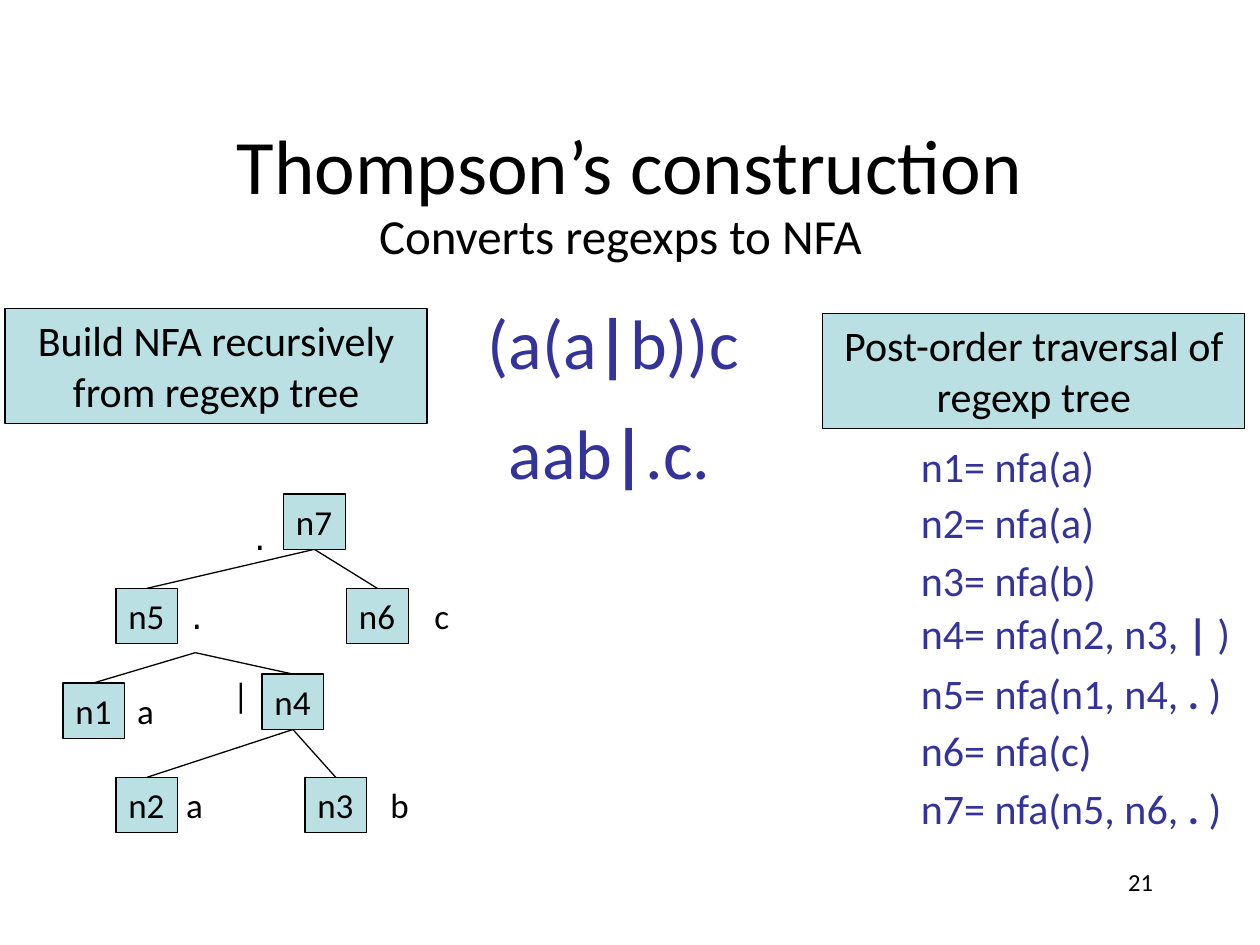
"""Builds the slide on Thompson's construction with its regexp tree."""
import pptx
import pptx.util
import pptx.dml.color
import pptx.enum.shapes
import pptx.enum.text
import pptx.oxml.ns
import lxml.etree

Inches, Pt = pptx.util.Inches, pptx.util.Pt
RGBColor = pptx.dml.color.RGBColor
ALIGN = pptx.enum.text.PP_ALIGN

BLACK = RGBColor(0x00, 0x00, 0x00)
INDIGO = RGBColor(0x33, 0x33, 0x99)
PALE_TEAL = RGBColor(0xBB, 0xE0, 0xE3)
FONT = "Calibri"
OPERATORS = ("|", "| ", ". ")

TITLE = "Thompson’s construction"
SUBTITLE = "Converts regexps to NFA"
PAGE_NUMBER = "21"
CALLOUTS = [
    ("Build NFA recursively from regexp tree", 0.04, 2.45),
    ("Post-order traversal of regexp tree", 6.53, 2.49),
]
EXPRESSIONS = [
    (["(a(a", "|", "b))c"], (3.77, 2.33, 2.25, 0.77)),
    (["aab", "|", ".c."], (3.94, 3.2, 1.83, 0.77)),
]
STEPS = [
    (["n1= nfa(a)"], 3.45),
    (["n2= nfa(a)"], 3.89),
    (["n3= nfa(b)"], 4.35),
    (["n4= nfa(n2, n3, ", "| ", ")"], 4.77),
    (["n5= nfa(n1, n4, ", ". ", ")"], 5.25),
    (["n6= nfa(c)"], 5.7),
    (["n7= nfa(n5, n6, ", ". ", ")"], 6.16),
]
NODES = {
    "n1": (0.5, 5.42), "n2": (0.92, 6.17), "n3": (2.42, 6.17),
    "n4": (2.08, 5.35), "n5": (0.92, 4.67), "n6": (2.75, 4.67),
    "n7": (2.25, 3.92),
}
NODE_WIDTH, NODE_HEIGHT = 0.49, 0.44
CHILDREN = {"n7": ("n5", "n6"), "n5": ("n1", "n4"), "n4": ("n2", "n3")}
BRANCH_POINTS = {"n5": (1.55, 5.18)}
SYMBOLS = [
    ("⋅", 1.92, 4.12), ("⋅", 1.42, 4.75), ("c", 3.35, 4.67),
    ("a", 0.99, 5.42), ("|", 1.75, 5.3), ("a", 1.38, 6.17), ("b", 3.0, 6.17),
]


def write(shape, pieces, size, color=BLACK, align=ALIGN.LEFT, wrap=False):
    frame = shape.text_frame
    frame.word_wrap = wrap
    frame.vertical_anchor = pptx.enum.text.MSO_ANCHOR.TOP
    paragraph = frame.paragraphs[0]
    paragraph.alignment = align
    paragraph.font.name = FONT
    paragraph.font.size = Pt(size)
    paragraph.font.color.rgb = color
    for piece in pieces:
        run = paragraph.add_run()
        run.text = piece
        if len(pieces) > 1 and piece in OPERATORS:
            run.font.bold = True


def add_label(shapes, place, pieces, size, **style):
    label = shapes.add_textbox(*map(Inches, place))
    write(label, pieces, size, **style)
    return label


def add_box(shapes, place, text, size, **style):
    box = shapes.add_shape(pptx.enum.shapes.MSO_SHAPE.RECTANGLE, *map(Inches, place))
    box.shadow.inherit = False
    box.fill.solid()
    box.fill.fore_color.rgb = PALE_TEAL
    box.line.color.rgb = BLACK
    box.line.width = Pt(0.75)
    write(box, [text], size, **style)


def add_branch(shapes, start, end):
    branch = shapes.add_connector(
        pptx.enum.shapes.MSO_CONNECTOR.STRAIGHT, *map(Inches, start + end))
    branch.line.color.rgb = BLACK
    branch.line.width = Pt(0.75)
    lxml.etree.SubElement(branch._element.spPr, pptx.oxml.ns.qn("a:effectLst"))


def add_tree(shapes):
    for parent, children in CHILDREN.items():
        left, top = NODES[parent]
        start = BRANCH_POINTS.get(parent, (left + NODE_WIDTH / 2, top + NODE_HEIGHT))
        for child in children:
            child_left, child_top = NODES[child]
            add_branch(shapes, start, (child_left + NODE_WIDTH / 2, child_top))
    for symbol, left, top in SYMBOLS:
        add_label(shapes, (left, top, 0.33, 0.44), [symbol], 20)
    for name, place in NODES.items():
        add_box(shapes, place + (NODE_WIDTH, NODE_HEIGHT), name, 20)


def main():
    deck = pptx.Presentation()
    deck.slide_width, deck.slide_height = Inches(10), Inches(7.5)
    shapes = deck.slides.add_slide(deck.slide_layouts[6]).shapes

    title = add_label(shapes, (0.75, 0.67, 8.5, 1.25), [TITLE], 44,
                      align=ALIGN.CENTER, wrap=True)
    title.text_frame.vertical_anchor = pptx.enum.text.MSO_ANCHOR.MIDDLE
    add_label(shapes, (2.91, 1.58, 4.19, 0.57), [SUBTITLE], 28)
    add_label(shapes, (7.17, 6.83, 2.08, 0.5), [PAGE_NUMBER], 14,
              align=ALIGN.RIGHT, wrap=True)
    for pieces, place in EXPRESSIONS:
        add_label(shapes, place, pieces, 40, color=INDIGO)
    for text, left, top in CALLOUTS:
        add_box(shapes, (left, top, 3.35, 0.91), text, 24,
                align=ALIGN.CENTER, wrap=True)
    for pieces, top in STEPS:
        width = 2.75 if len(pieces) > 1 else 1.65
        add_label(shapes, (7.21, top, width, 0.5), pieces, 24,
                  color=INDIGO, wrap=True)
    add_tree(shapes.add_group_shape().shapes)

    deck.save("out.pptx")


if __name__ == "__main__":
    main()
